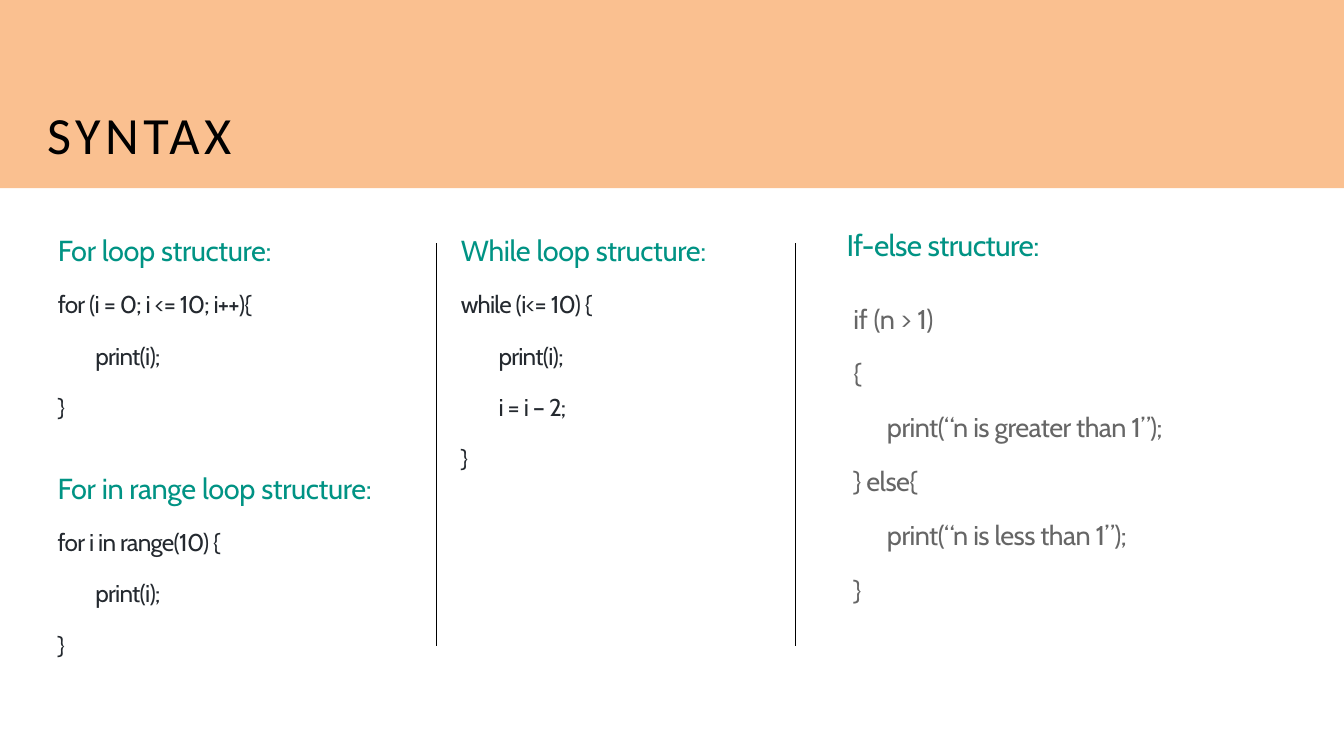
import pptx
import pptx.util
import pptx.dml.color
import pptx.enum.shapes
import pptx.enum.text
import pptx.oxml
import pptx.oxml.ns

WIDTH = 10
HEIGHT = WIDTH * 9 / 16
BAND_HEIGHT = 1.4
LEFT_COLUMN, MIDDLE_COLUMN, RIGHT_COLUMN = 0.42, 3.42, 6.29
COLUMN_TOP = 1.71
DIVIDERS = (3.25, 5.92)
DIVIDER_TOP, DIVIDER_BOTTOM = 1.81, 4.81

TITLE = {"size": 28, "name": "Calibri", "color": "000000", "spacing": 2.5}
HEADING = {"size": 15.5, "name": "Cabin", "color": "009384", "spacing": -0.2,
           "before": 1.2, "indent": 0.28}
WIDE_HEADING = {**HEADING, "size": 16, "spacing": -0.3, "before": 1}
CODE = {"size": 13, "name": "Cabin", "color": "24292F", "spacing": -0.4,
        "before": 11.9, "indent": 0.28}
GREY_CODE = {**CODE, "size": 14.5, "color": "666666", "spacing": -0.3,
             "before": 11.6, "indent": 0.25}
GREY_CODE_START = {**GREY_CODE, "before": 1.4, "spacing": -0.1}

# Each block: (left, top, width, height), then lines of (level, text, style)
BLOCKS = [
    ((LEFT_COLUMN, COLUMN_TOP, 2.49, 1.44), [
        (0, "For loop structure:", HEADING),
        (0, "for (i = 0; i <= 10; i++){", CODE),
        (1, "print(i);", CODE),
        (0, "}", CODE)]),
    ((LEFT_COLUMN, 3.48, 2.66, 1.44), [
        (0, "For in range loop structure:", HEADING),
        (0, "for i in range(10) {", CODE),
        (1, "print(i);", CODE),
        (0, "}", CODE)]),
    ((MIDDLE_COLUMN, COLUMN_TOP, 2.4, 1.83), [
        (0, "While loop structure:", HEADING),
        (0, "while (i<= 10) {", CODE),
        (1, "print(i);", CODE),
        (1, "i = i – 2;", CODE),
        (0, "}", CODE)]),
    ((RIGHT_COLUMN, 1.67, 2.16, 0.28), [
        (0, "If-else structure:", WIDE_HEADING)]),
    ((RIGHT_COLUMN + 0.05, 2.23, 3.24, 2.32), [
        (0, "if (n > 1)", GREY_CODE_START),
        (0, "{", GREY_CODE),
        (1, "print(“n is greater than 1”);", GREY_CODE),
        (0, "} else{", GREY_CODE),
        (1, "print(“n is less than 1”);", GREY_CODE),
        (0, "}", GREY_CODE)]),
]


def inches(*lengths):
    return [pptx.util.Inches(length) for length in lengths]


def color(value):
    return pptx.dml.color.RGBColor.from_string(value)


def write_span(para, text, style):
    span = para.add_run()
    span.text = text
    span.font.size = pptx.util.Pt(style["size"])
    span.font.name = style["name"]
    span.font.color.rgb = color(style["color"])
    span.font._element.set("spc", str(round(style["spacing"] * 100)))


def add_block(page, place, lines):
    frame = page.shapes.add_textbox(*inches(*place)).text_frame
    frame_format = {
        "word_wrap": True,
        "auto_size": pptx.enum.text.MSO_AUTO_SIZE.SHAPE_TO_FIT_TEXT,
        "margin_left": 0, "margin_right": 0, "margin_bottom": 0,
        "margin_top": pptx.util.Inches(0.02),
    }
    for name, value in frame_format.items():
        setattr(frame, name, value)
    for number, (level, text, style) in enumerate(lines):
        para = frame.paragraphs[0] if number == 0 else frame.add_paragraph()
        para.space_before = pptx.util.Pt(style["before"])
        margin = pptx.util.Inches(0.01 + level * style["indent"])
        para._p.get_or_add_pPr().set("marL", str(margin))
        write_span(para, text, style)


def add_band(page):
    band = page.shapes.add_shape(pptx.enum.shapes.MSO_SHAPE.RECTANGLE,
                                 *inches(0, -0.04, WIDTH, BAND_HEIGHT + 0.04))
    band.shadow.inherit = False
    band.fill.solid()
    band.fill.fore_color.rgb = color("FAC090")
    band.line.fill.background()
    page.shapes._spTree.insert(2, band._element)  # behind the title


def set_title(page, text):
    title = page.shapes.title
    place = dict(zip(("left", "top", "width", "height"),
                     inches(0.25, 0.71, 5.5, 0.57)))
    for name, value in place.items():
        setattr(title, name, value)
    title.text_frame.vertical_anchor = pptx.enum.text.MSO_ANCHOR.TOP
    title.text_frame.auto_size = pptx.enum.text.MSO_AUTO_SIZE.SHAPE_TO_FIT_TEXT
    para = title.text_frame.paragraphs[0]
    para.alignment = pptx.enum.text.PP_ALIGN.LEFT
    write_span(para, text, TITLE)


def add_divider(page, x):
    divider = page.shapes.add_connector(
        pptx.enum.shapes.MSO_CONNECTOR.STRAIGHT,
        *inches(x, DIVIDER_TOP, x, DIVIDER_BOTTOM))
    divider.line.color.rgb = color("000000")
    divider.line.width = pptx.util.Pt(0.75)
    divider._element.spPr.append(
        pptx.oxml.parse_xml(f"<a:effectLst {pptx.oxml.ns.nsdecls('a')}/>"))


def main():
    deck = pptx.Presentation()
    deck.slide_width, deck.slide_height = inches(WIDTH, HEIGHT)
    page = deck.slides.add_slide(deck.slide_layouts.get_by_name("Title Only"))
    add_band(page)
    set_title(page, "SYNTAX")
    for place, lines in BLOCKS:
        add_block(page, place, lines)
    for x in DIVIDERS:
        add_divider(page, x)
    deck.save("out.pptx")


if __name__ == "__main__":
    main()
